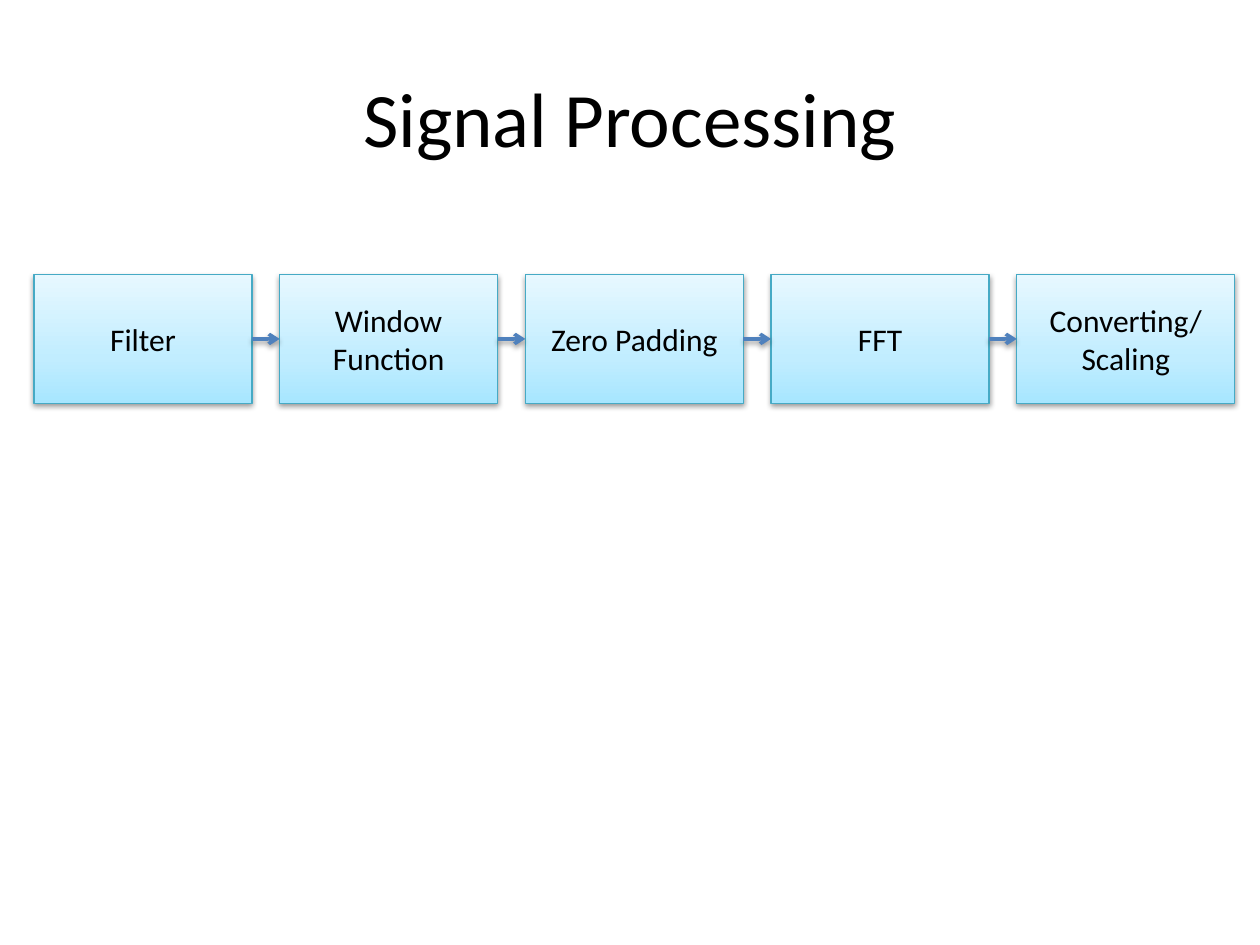
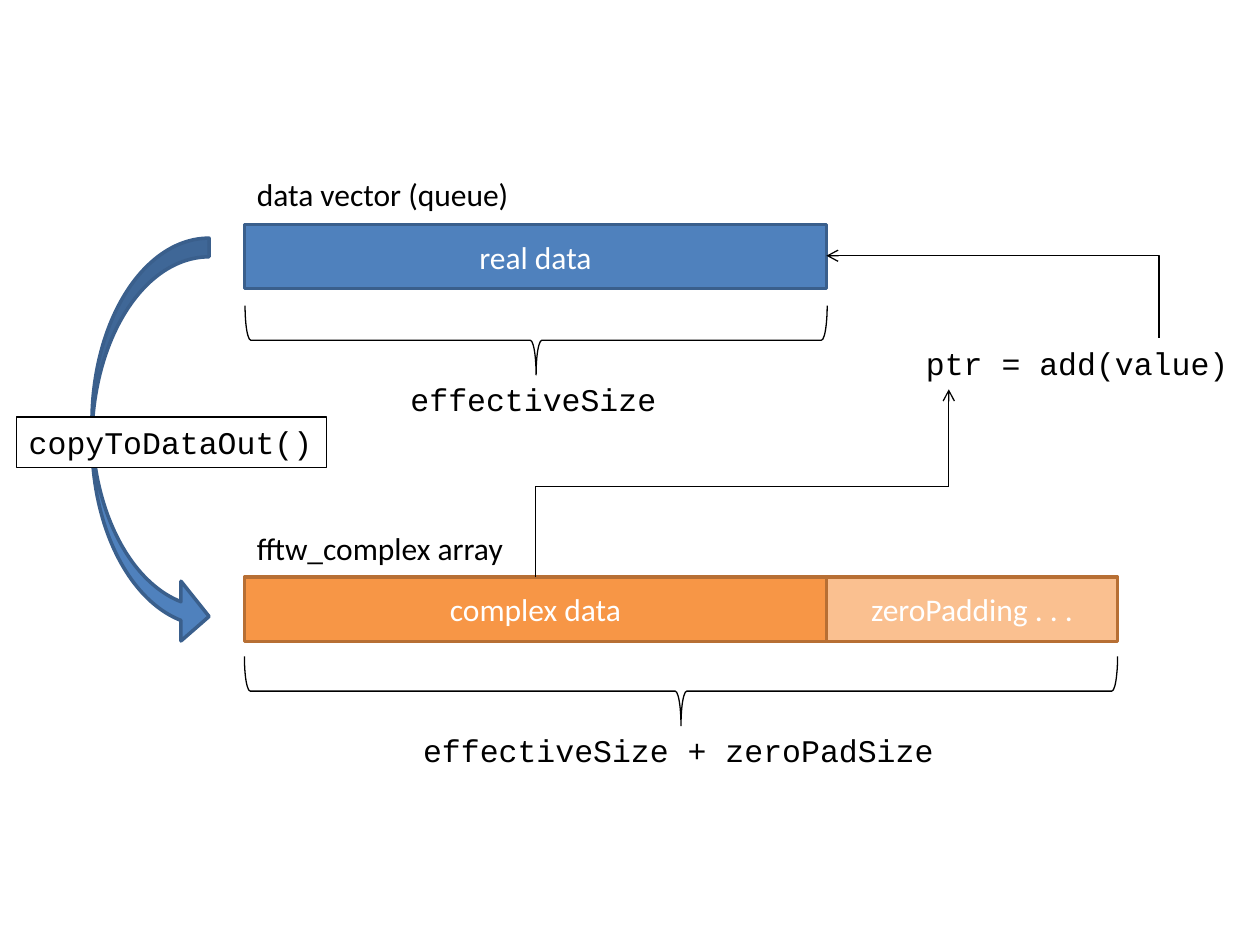
from dataclasses import dataclass
from typing import Any, Optional

from lxml.etree import SubElement
from pptx import Presentation
from pptx.dml.color import RGBColor
from pptx.enum.shapes import MSO_CONNECTOR as Link, MSO_SHAPE as Preset
from pptx.enum.text import MSO_ANCHOR as Anchor, MSO_AUTO_SIZE as AutoSize, PP_ALIGN as Align
from pptx.oxml.ns import qn
from pptx.util import Emu, Pt

EMU_PER_PX = 9144  # 100 px to the inch
SANS, MONO = "Calibri", "Courier New"
TOP, LEFT, BOTTOM, RIGHT = range(4)

COLORS = {
    "black": "000000",
    "white": "FFFFFF",
    "blue": "4F81BD",
    "blue_edge": "3A5F8C",
    "orange": "F79646",
    "orange_light": "FAC090",
    "orange_edge": "B76F34",
    "cyan_edge": "46AAC5",
    "cyan_deep": "A7E6FF",
    "cyan_mid": "C1EDFF",
    "cyan_pale": "E7F8FF",
}
STEP_GRADIENT = ((0, "cyan_deep"), (35, "cyan_mid"), (100, "cyan_pale"))
CENTERED = {"word_wrap": True, "vertical_anchor": Anchor.MIDDLE}
FITTED = {"word_wrap": False, "vertical_anchor": Anchor.TOP,
          "auto_size": AutoSize.SHAPE_TO_FIT_TEXT}


@dataclass(frozen=True)
class Box:
    left: int
    top: int
    width: int
    height: int


@dataclass(frozen=True)
class Text:
    content: str
    font: str = SANS
    color: str = "black"
    size: int = 18
    align: Any = Align.CENTER


@dataclass(frozen=True)
class Style:
    fill: Optional[str] = None
    edge: str = "black"
    weight: float = 0.75


@dataclass(frozen=True)
class Label:
    box: Box
    text: Text


@dataclass(frozen=True)
class Block:
    box: Box
    text: Text
    style: Style


def px(value: int) -> Emu:
    return Emu(value * EMU_PER_PX)


def rgb(name: str) -> RGBColor:
    return RGBColor.from_string(COLORS[name])


def frame(box: Box) -> list[Emu]:
    return [px(n) for n in (box.left, box.top, box.width, box.height)]


def apply(target: Any, values: dict[str, Any]) -> None:
    for name, value in values.items():
        setattr(target, name, value)


def write(shape: Any, text: Text, layout: dict[str, Any]) -> None:
    apply(shape.text_frame, layout)
    shape.text_frame.text = text.content
    for paragraph in shape.text_frame.paragraphs:
        paragraph.alignment = text.align
        font = paragraph.runs[0].font
        apply(font, {"name": text.font, "size": Pt(text.size)})
        font.color.rgb = rgb(text.color)


def add_text(slide: Any, label: Label, layout: dict[str, Any]) -> None:
    write(slide.shapes.add_textbox(*frame(label.box)), label.text, layout)


def add_shape(slide: Any, preset: Any, box: Box, style: Style) -> Any:
    shape = slide.shapes.add_shape(preset, *frame(box))
    shape.shadow.inherit = False
    if style.fill:
        shape.fill.solid()
        shape.fill.fore_color.rgb = rgb(style.fill)
    else:
        shape.fill.background()
    shape.line.color.rgb = rgb(style.edge)
    shape.line.width = Pt(style.weight)
    return shape


def add_block(slide: Any, block: Block, layout: dict[str, Any]) -> Any:
    shape = add_shape(slide, Preset.RECTANGLE, block.box, block.style)
    write(shape, block.text, layout)
    return shape


def add_line(slide: Any, start: tuple[int, int], end: tuple[int, int], style: Style,
             kind: Any = Link.STRAIGHT, arrow: bool = True) -> Any:
    line = slide.shapes.add_connector(kind, *map(px, start + end))
    line.line.color.rgb = rgb(style.edge)
    line.line.width = Pt(style.weight)
    properties = line._element.spPr
    if arrow:
        SubElement(properties.find(qn("a:ln")), qn("a:tailEnd"), type="arrow")
    SubElement(properties, qn("a:effectLst"))
    return line


def add_color(parent: Any, name: str) -> Any:
    return SubElement(parent, qn("a:srgbClr"), val=COLORS[name])


def cast_shadow(shape: Any) -> None:
    effects = shape._element.spPr.find(qn("a:effectLst"))
    shadow = SubElement(effects, qn("a:outerShdw"), blurRad=str(Pt(3.1)), dist=str(Pt(1.6)),
                        dir="5400000", rotWithShape="0")
    SubElement(add_color(shadow, "black"), qn("a:alpha"), val="38000")


def fill_gradient(shape: Any) -> None:
    shape.fill.gradient()
    shape.fill.gradient_angle = 90
    stops = shape._element.spPr.find(".//" + qn("a:gsLst"))
    for stop in list(stops):
        stops.remove(stop)
    for percent, name in STEP_GRADIENT:
        add_color(SubElement(stops, qn("a:gs"), pos=str(percent * 1000)), name)


def add_brace(slide: Any, left: int, top: int, width: int) -> None:
    """Draw a brace that spans width and points down."""
    depth = 55
    center_x, center_y = left + width // 2, top + depth // 2
    box = Box(center_x - depth // 2, center_y - width // 2, depth, width)
    add_shape(slide, Preset.LEFT_BRACE, box, Style()).rotation = 270


def build_pipeline(slide: Any) -> None:
    add_text(slide, Label(Box(50, 30, 900, 125), Text("Signal Processing", size=44)), CENTERED)

    # Processing steps
    left, top, width, height, pitch = 27, 218, 173, 102, 195
    names = ("Filter", "Window Function", "Zero Padding", "FFT", "Converting/\nScaling")
    steps = []
    for index, name in enumerate(names):
        box = Box(left + index * pitch, top, width, height)
        step = add_block(slide, Block(box, Text(name), Style(edge="cyan_edge")), CENTERED)
        fill_gradient(step)
        cast_shadow(step)
        steps.append(step)

    # Arrows from step to step
    middle = top + height // 2
    for index, (source, target) in enumerate(zip(steps, steps[1:])):
        start = left + index * pitch + width
        arrow = add_line(slide, (start, middle), (start + pitch - width, middle),
                         Style(edge="blue", weight=2))
        arrow.begin_connect(source, RIGHT)
        arrow.end_connect(target, LEFT)
        cast_shadow(arrow)


def build_buffers(slide: Any) -> None:
    left, data_width, padding_width, height = 194, 462, 231, 51
    data_right = left + data_width
    vector_top, array_top = 178, 458
    blue = Style("blue", "blue_edge", 2)

    # Buffers
    blocks = (
        Block(Box(left, vector_top, data_width, height), Text("real data", color="white"), blue),
        Block(Box(left, array_top, data_width, height), Text("complex data", color="white"),
              Style("orange", "orange_edge", 2)),
        Block(Box(data_right, array_top, padding_width, height),
              Text("zeroPadding . . .", color="white"),
              Style("orange_light", "orange_edge", 2)),
    )
    _, complex_data, _ = [add_block(slide, block, CENTERED) for block in blocks]

    # Size braces
    add_brace(slide, left, 243, data_width)
    add_brace(slide, left, 521, data_width + padding_width)

    # Labels
    labels = (
        Label(Box(left, 134, 223, 40), Text("data vector (queue)", align=Align.LEFT)),
        Label(Box(left, 415, 219, 40), Text("fftw_complex array", align=Align.LEFT)),
        Label(Box(725, 268, 261, 40), Text("ptr = add(value)", MONO, align=Align.LEFT)),
        Label(Box(316, 297, 216, 40), Text("effectiveSize", MONO, align=Align.LEFT)),
        Label(Box(326, 575, 427, 40),
              Text("effectiveSize + zeroPadSize", MONO, align=Align.LEFT)),
    )
    for label in labels:
        add_text(slide, label, FITTED)

    # Copy from vector to array
    copy_arrow = add_shape(slide, Preset.CURVED_RIGHT_ARROW, Box(73, 189, 93, 324), blue)
    for index, value in enumerate((0.16, 0.51, 0.24)):
        copy_arrow.adjustments[index] = value
    add_block(slide, Block(Box(13, 331, 246, 40),
                           Text("copyToDataOut()", MONO, align=Align.LEFT),
                           Style("white")), FITTED)

    # Elbow from the call up to the vector
    elbow = add_line(slide, (920, 268), (data_right, 203), Style(), Link.ELBOW)
    guides = elbow._element.spPr.find(qn("a:prstGeom")).get_or_add_avLst()
    SubElement(guides, qn("a:gd"), name="adj1", fmla="val 0")

    # Route from the array to the pointer
    center, turn, pointer = left + data_width // 2, 386, 753
    riser = add_line(slide, (center, array_top), (center, turn), Style(), arrow=False)
    riser.begin_connect(complex_data, TOP)
    add_line(slide, (center, turn), (pointer, turn), Style(), arrow=False)
    add_line(slide, (pointer, turn), (pointer, 309), Style())


def main() -> None:
    presentation = Presentation()
    apply(presentation, {"slide_width": px(1000), "slide_height": px(750)})
    blank = presentation.slide_layouts[6]
    for build in (build_pipeline, build_buffers):
        build(presentation.slides.add_slide(blank))
    presentation.save("out.pptx")


if __name__ == "__main__":
    main()
